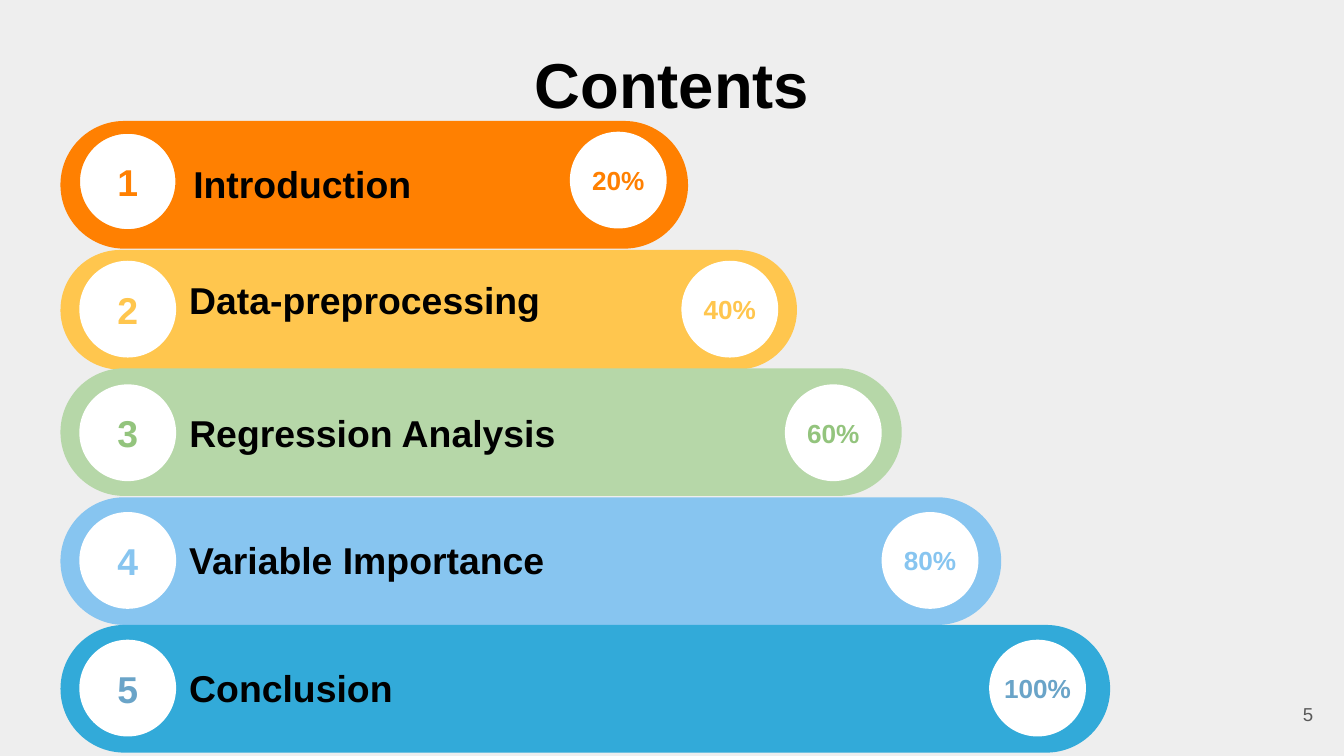
from dataclasses import dataclass

import pptx
import pptx.dml.color
import pptx.enum.shapes
import pptx.enum.text
import pptx.util

Inches = pptx.util.Inches
Kind = pptx.enum.shapes.MSO_SHAPE
Align = pptx.enum.text.PP_ALIGN
Anchor = pptx.enum.text.MSO_ANCHOR

COLORS = {
    "back": "EEEEEE", "white": "FFFFFF", "black": "000000", "gray": "595959",
    "orange": "FF8001", "yellow": "FFC64E", "pale": "B6D7A8",
    "green": "93C47D", "sky": "87C5F0", "blue": "32AAD9", "steel": "6AA4C8",
}
WIDTH = 10
HEIGHT = WIDTH * 9 / 16
LEFT, DISC, DISC_LEFT = 0.45, 0.72, 0.59


@dataclass
class Bar:
    label: str
    fill: str
    ink: str
    top: float
    width: float
    height: float
    disc_top: float
    rate_left: float
    rate_top: float
    text_left: float
    text_top: float
    text_width: float
    rim: bool = False


BARS = [
    Bar("Introduction", "orange", "orange", 0.9, 4.67, 0.95,
        0.99, 4.24, 0.98, 1.34, 1.1, 2.7, rim=True),
    Bar("Data-preprocessing", "yellow", "yellow", 1.86, 5.48, 0.89,
        1.94, 5.07, 1.94, 1.31, 1.96, 3.56),
    Bar("Regression Analysis", "pale", "green", 2.74, 6.26, 0.95,
        2.86, 5.84, 2.86, 1.31, 2.95, 4.19),
    Bar("Variable Importance", "sky", "sky", 3.7, 7, 0.95,
        3.81, 6.56, 3.81, 1.31, 3.9, 4.83),
    Bar("Conclusion", "blue", "steel", 4.65, 7.81, 0.95,
        4.76, 7.36, 4.76, 1.31, 4.85, 2.7),
]


def color(name: str) -> pptx.dml.color.RGBColor:
    return pptx.dml.color.RGBColor.from_string(COLORS[name])


def write(shape, text: str, size: float, ink: str, bold=True,
          align=Align.LEFT, anchor=Anchor.MIDDLE, inset=0.1, wrap=True) -> None:
    frame = shape.text_frame
    frame.word_wrap = wrap
    frame.vertical_anchor = anchor
    frame.margin_left = frame.margin_right = Inches(inset)
    frame.margin_top = frame.margin_bottom = Inches(inset)
    line = frame.paragraphs[0]
    line.text = text
    line.alignment = align
    line.font.name = "Arial"
    line.font.size = pptx.util.Pt(size)
    line.font.bold = bold
    line.font.color.rgb = color(ink)


def add_text(slide, box: tuple, *args, **style) -> None:
    write(slide.shapes.add_textbox(*map(Inches, box)), *args, **style)


def add_shape(slide, kind, box: tuple, fill: str):
    shape = slide.shapes.add_shape(kind, *map(Inches, box))
    shape.shadow.inherit = False
    shape.fill.solid()
    shape.fill.fore_color.rgb = color(fill)
    shape.line.fill.background()
    return shape


def add_disc(slide, left: float, top: float, text: str, size: float, ink: str):
    disc = add_shape(slide, Kind.OVAL, (left, top, DISC, DISC), "white")
    write(disc, text, size, ink, align=Align.CENTER, inset=0, wrap=False)
    return disc


def add_bar(slide, rank: int, bar: Bar) -> None:
    body = add_shape(slide, Kind.ROUNDED_RECTANGLE,
                     (LEFT, bar.top, bar.width, bar.height), bar.fill)
    body.adjustments[0] = 0.5
    disc = add_disc(slide, DISC_LEFT, bar.disc_top, str(rank), 20, bar.ink)
    if bar.rim:
        disc.line.color.rgb = color(bar.ink)
        disc.line.width = pptx.util.Pt(0.75)
    add_disc(slide, bar.rate_left, bar.rate_top, f"{rank * 20}%", 14, bar.ink)
    add_text(slide, (bar.text_left, bar.text_top, bar.text_width, 0.54),
             bar.label, 20, "black", anchor=Anchor.TOP)


def main() -> None:
    deck = pptx.Presentation()
    deck.slide_width, deck.slide_height = Inches(WIDTH), Inches(HEIGHT)
    slide = deck.slides.add_slide(deck.slide_layouts[6])
    slide.background.fill.solid()
    slide.background.fill.fore_color.rgb = color("back")

    # Title
    add_text(slide, (0.5, 0.32, 9, 0.59), "Contents", 34, "black",
             align=Align.CENTER)

    # Bars with rank, label and progress
    for rank, bar in enumerate(BARS, 1):
        add_bar(slide, rank, bar)

    # Page number
    add_text(slide, (9.27, 5.1, 0.6, 0.43), "5", 10, "gray", bold=False,
             align=Align.RIGHT)
    deck.save("out.pptx")


if __name__ == "__main__":
    main()
